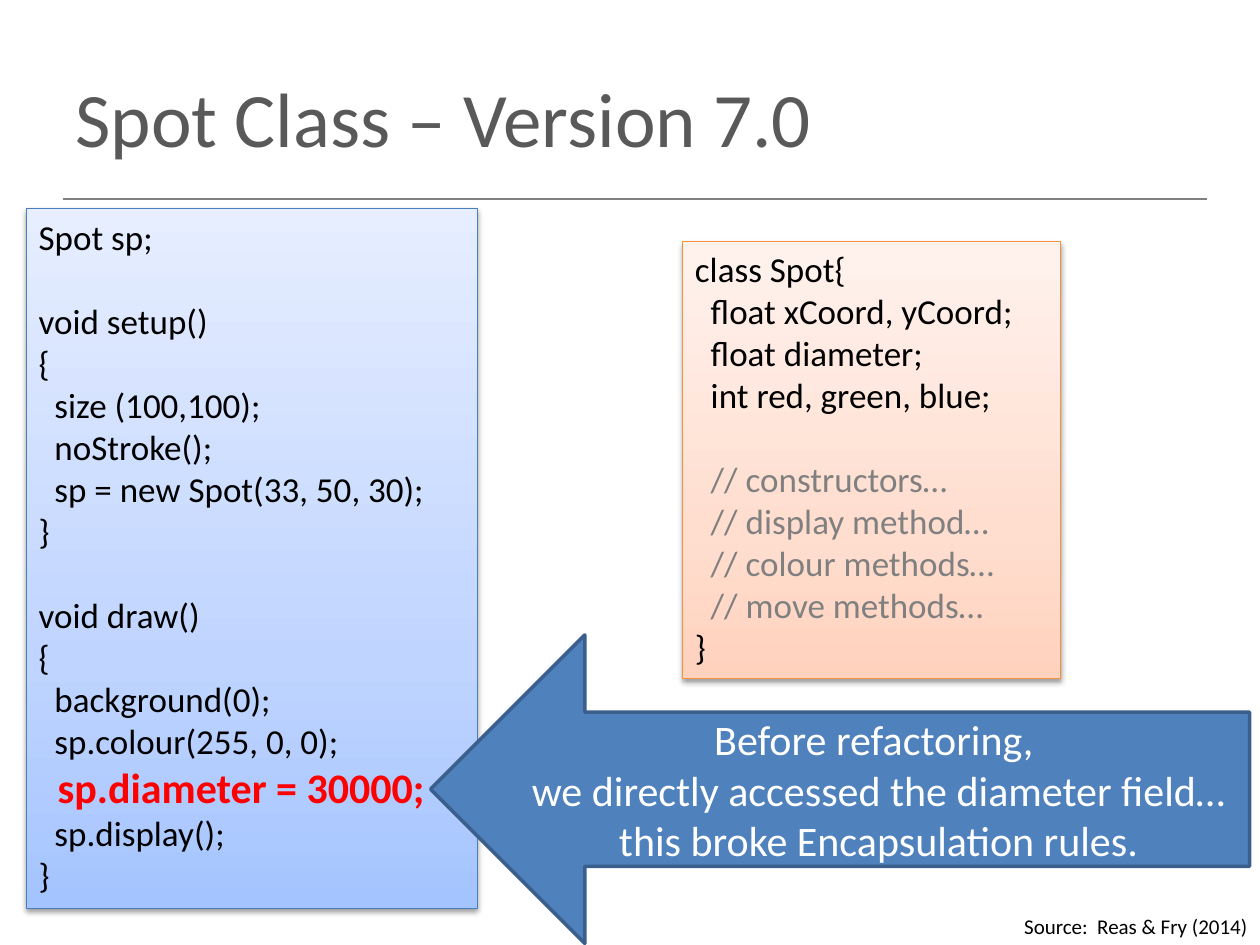
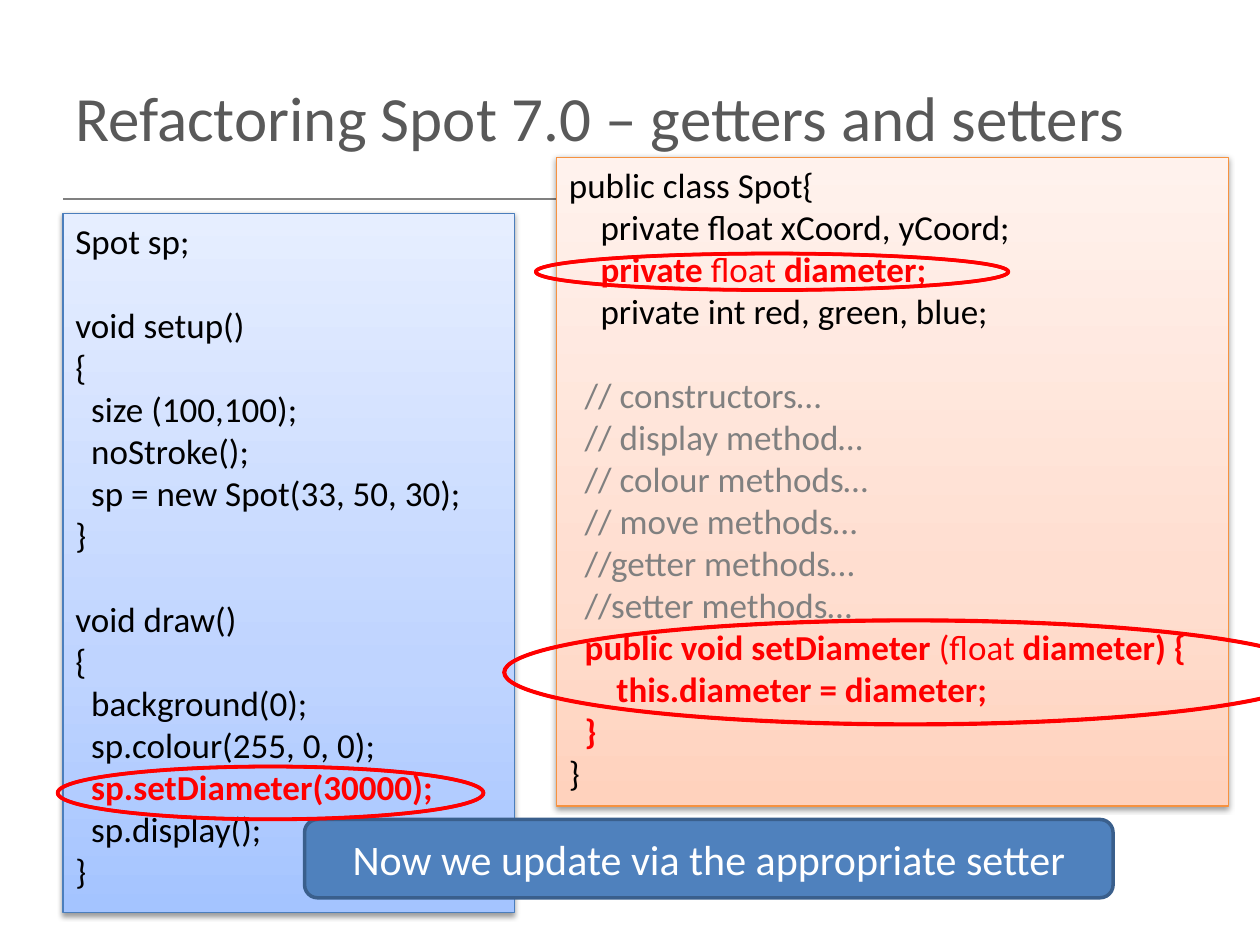
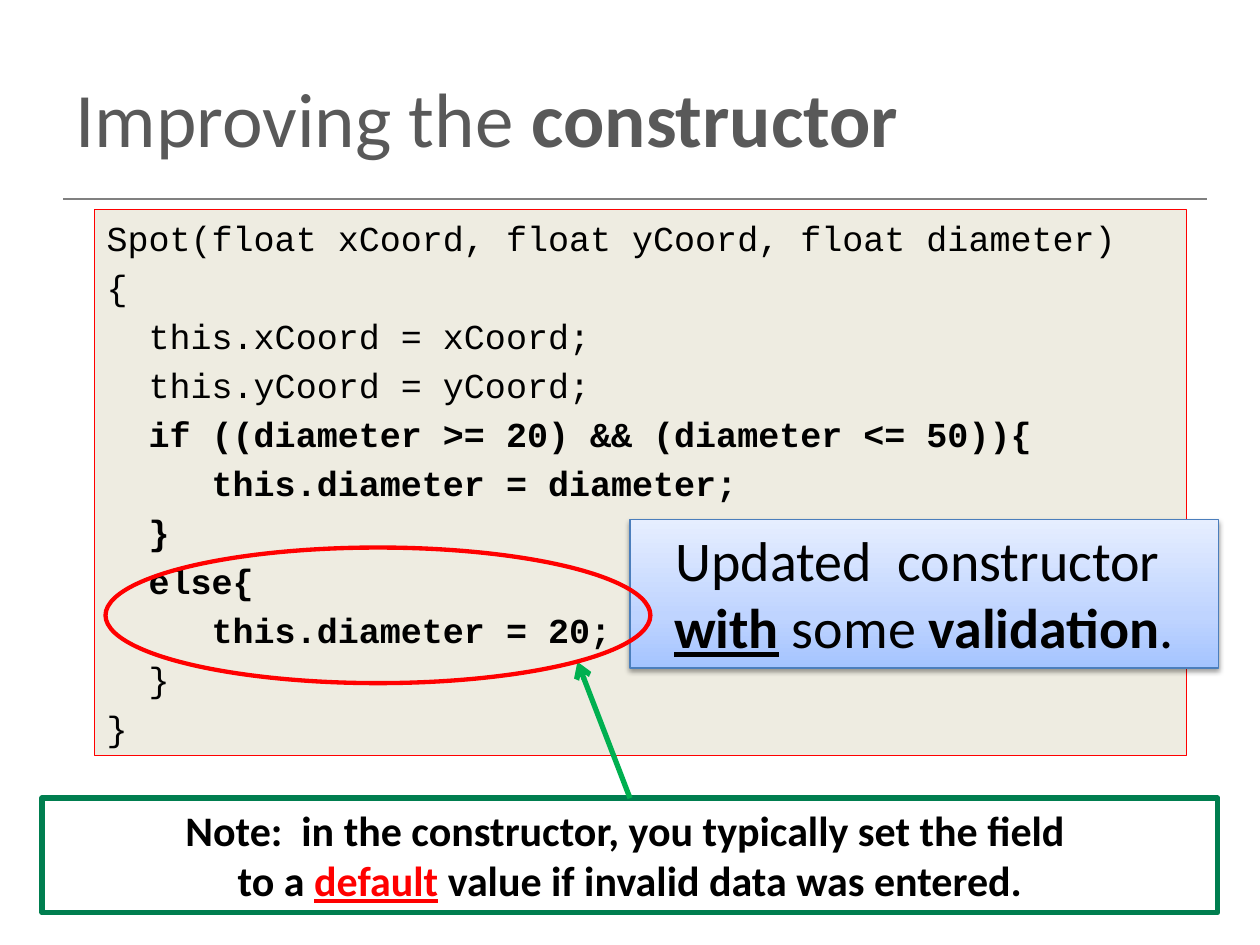
from lxml.etree import SubElement
from pptx import Presentation
from pptx.dml.color import RGBColor
from pptx.enum.shapes import MSO_CONNECTOR, MSO_SHAPE
from pptx.enum.text import MSO_ANCHOR, PP_ALIGN
from pptx.oxml.ns import qn
from pptx.util import Cm, Pt

COLOURS = {
    "title": "595959", "rule": "808080", "text": "000000", "white": "FFFFFF",
    "comment": "808080", "alert": "FF0000",
    "callout": "4F81BD", "callout_line": "3A5F8C",
    "sketch_line": "4B7EBC", "class_line": "F69240",
    "constructor": "EEECE1", "note_line": "007E4F", "arrow": "00B050",
}
GRADIENTS = {
    "sketch": ((0, "A4C4FF"), (35, "BFD4FF"), (100, "E6EEFF")),
    "class": ((0, "FFD2BD"), (35, "FFDED0"), (100, "FFF2ED")),
}
BOLD = {"bold": True}
ALERT = {"colour": "alert"}
BOLD_ALERT = {"colour": "alert", "bold": True}
COMMENT = {"colour": "comment"}
BLANK_LINE = Pt(24)

METHOD_COMMENTS = [
    [("  // " + topic + "…", COMMENT)]
    for topic in ("constructors", "display method", "colour methods", "move methods")
]


def rgb(name):
    return RGBColor.from_string(COLOURS[name])


def style_font(font, size=None, colour=None, bold=None, underline=None, name=None):
    if name:
        font.name = name
    if size:
        font.size = Pt(size)
    if colour:
        font.color.rgb = rgb(colour)
    if bold is not None:
        font.bold = bold
    if underline is not None:
        font.underline = underline


def add_runs(paragraph, parts):
    """Add (text, style) parts; a newline in a text is a line break."""
    for text, style in parts:
        for index, piece in enumerate(text.split("\n")):
            if index:
                paragraph.add_line_break()
            if piece:
                run = paragraph.add_run()
                run.text = piece
                style_font(run.font, **style)


def write(shape, lines, size, colour="text", name="Calibri", bold=False,
          align=PP_ALIGN.LEFT, anchor=MSO_ANCHOR.TOP, space_before=0):
    """Write one paragraph a line; an empty line becomes space before the next."""
    frame = shape.text_frame
    frame.word_wrap = True
    frame.vertical_anchor = anchor
    paragraph, gap = None, 0
    for line in lines:
        if not line:
            gap = BLANK_LINE
            continue
        if paragraph is None:
            paragraph = frame.paragraphs[0]
        else:
            paragraph = frame.add_paragraph()
            paragraph.space_before = Pt(space_before) + gap
        gap = 0
        paragraph.alignment = align
        parts = [(line, {})] if isinstance(line, str) else line
        if len(parts) == 1:
            text, style = parts[0]
            parts = [(text, {})]
        else:
            style = {}
        base = {"size": size, "colour": colour, "name": name, "bold": bold}
        style_font(paragraph.font, **{**base, **style})
        add_runs(paragraph, parts)


def add_text_box(slide, box, lines, size, **options):
    shape = slide.shapes.add_textbox(*map(Cm, box))
    write(shape, lines, size, **options)


def add_shape(slide, kind, box, line, width, fill=None):
    shape = slide.shapes.add_shape(kind, *map(Cm, box))
    shape.shadow.inherit = False
    if fill:
        shape.fill.solid()
        shape.fill.fore_color.rgb = rgb(fill)
    else:
        shape.fill.background()
    shape.line.color.rgb = rgb(line)
    shape.line.width = Pt(width)
    return shape


def add_colour(parent, value):
    return SubElement(parent, qn("a:srgbClr"), val=value)


def add_panel(slide, theme, box, lines, size=20, **options):
    """Add a shadowed box with a three-stop gradient, darkest at the bottom."""
    shape = add_shape(slide, MSO_SHAPE.RECTANGLE, box, theme + "_line", 0.75)
    shape.fill.gradient()
    shape.fill.gradient_angle = 90
    properties = shape.element.spPr
    stops = properties.find(qn("a:gradFill")).find(qn("a:gsLst"))
    for stop in list(stops):
        stops.remove(stop)
    for position, value in GRADIENTS[theme]:
        add_colour(SubElement(stops, qn("a:gs"), pos=str(position * 1000)), value)
    shadow = SubElement(properties.find(qn("a:effectLst")), qn("a:outerShdw"),
                        blurRad=str(Pt(3.1)), dist=str(Pt(1.6)), dir="5400000",
                        rotWithShape="0")
    SubElement(add_colour(shadow, COLOURS["text"]), qn("a:alpha"), val="38000")
    write(shape, lines, size, **options)


def add_callout(slide, kind, box, text):
    shape = add_shape(slide, kind, box, "callout_line", 2, "callout")
    write(shape, [text], 24, colour="white", align=PP_ALIGN.CENTER,
          anchor=MSO_ANCHOR.MIDDLE)


def add_ring(slide, box):
    ring = add_shape(slide, MSO_SHAPE.DONUT, box, "alert", 2, "alert")
    ring.adjustments[0] = 0.006


def add_line(slide, start, end, colour, width, arrow=False):
    connector = slide.shapes.add_connector(MSO_CONNECTOR.STRAIGHT, *map(Cm, start + end))
    connector.line.color.rgb = rgb(colour)
    connector.line.width = Pt(width)
    properties = connector.element.spPr
    if arrow:
        SubElement(properties.find(qn("a:ln")), qn("a:tailEnd"), type="arrow")
    SubElement(properties, qn("a:effectLst"))


def add_titled_slide(presentation, title, size=44):
    slide = presentation.slides.add_slide(presentation.slide_layouts[6])
    add_line(slide, (1.27, 4.02), (24.33, 4.02), "rule", 1)
    add_text_box(slide, (1.27, 0.76, 22.86, 3.18), [title], size,
                 colour="title", anchor=MSO_ANCHOR.MIDDLE)
    return slide


def add_sketch(slide, left, top, diameter_line):
    """Add the main program, which differs only in how it sets the diameter."""
    add_panel(slide, "sketch", (left, top, 9.1, 14.1), [
        "Spot sp;", "",
        "void setup()", "{", "  size (100,100);", "  noStroke();",
        "  sp = new Spot(33, 50, 30);", "}", "",
        "void draw()", "{", "  background(0);", "  sp.colour(255, 0, 0);",
        [diameter_line], "  sp.display();", "}",
    ])


def build_version_slide(presentation):
    slide = add_titled_slide(presentation, "Spot Class – Version 7.0")
    add_text_box(slide, (9.96, 18.29, 15.44, 0.76), ["Source:  Reas & Fry (2014)"],
                 12, align=PP_ALIGN.RIGHT)
    add_sketch(slide, 0.53, 4.21,
               ("  sp.diameter = 30000;", {**BOLD_ALERT, "size": 24}))
    add_panel(slide, "class", (13.76, 4.87, 7.62, 8.81), [
        "class Spot{", "  float xCoord, yCoord;", "  float diameter;",
        "  int red, green, blue;", "", *METHOD_COMMENTS, "}",
    ])
    add_callout(slide, MSO_SHAPE.LEFT_ARROW, (8.68, 12.8, 16.51, 6.22),
                "Before refactoring, \nwe directly accessed the diameter field… "
                "this broke Encapsulation rules.")


def build_refactoring_slide(presentation):
    slide = add_titled_slide(presentation, "Refactoring Spot 7.0 – getters and setters", 36)
    add_sketch(slide, 1.27, 4.3, ("  sp.setDiameter(30000);", BOLD_ALERT))
    add_panel(slide, "class", (11.22, 3.17, 13.55, 13.08), [
        "public class Spot{", "    private float xCoord, yCoord;",
        [("    private ", BOLD_ALERT), ("float", ALERT), (" diameter;", BOLD_ALERT)],
        "    private int red, green, blue;", "",
        *METHOD_COMMENTS,
        [("  //getter methods…", COMMENT)], [("  //setter methods…", COMMENT)],
        [("  public void setDiameter", BOLD_ALERT), (" (float", ALERT),
         (" diameter) {", BOLD_ALERT)],
        [("      this.diameter = diameter;", BOLD_ALERT)],
        [("  }", BOLD_ALERT)], "}",
    ])
    add_callout(slide, MSO_SHAPE.ROUNDED_RECTANGLE, (6.14, 16.52, 16.3, 1.58),
                "Now we update via the appropriate setter")
    for box in ((1.16, 15.45, 8.59, 1.07), (10.16, 12.5, 16.38, 2.11),
                (10.8, 5.11, 9.53, 0.74)):
        add_ring(slide, box)


def build_constructor_slide(presentation):
    slide = add_titled_slide(presentation, [("Improving the ", {}), ("constructor", BOLD)])
    code = add_shape(slide, MSO_SHAPE.RECTANGLE, (1.9, 4.23, 22.02, 11),
                     "alert", 0.75, "constructor")
    validation = ["  if ((diameter >= 20) && (diameter <= 50)){",
                  "     this.diameter = diameter;", "  }", "  else{",
                  "     this.diameter = 20;"]
    write(code, [
        "Spot(float xCoord, float yCoord, float diameter)", "{",
        "  this.xCoord = xCoord;", "  this.yCoord = yCoord;",
        *[[(line, BOLD)] for line in validation], "  }", "}",
    ], 20, name="Courier New", space_before=4)

    note = add_shape(slide, MSO_SHAPE.RECTANGLE, (0.85, 16.09, 23.7, 2.31), "note_line", 3)
    write(note, [[
        ("Note:  in the constructor, you typically set the field \nto a ", {}),
        ("default", {"colour": "alert", "underline": True}),
        (" value if invalid data was entered.", {}),
    ]], 24, bold=True, align=PP_ALIGN.CENTER)
    add_line(slide, (12.7, 16.09), (11.64, 13.34), "arrow", 3, arrow=True)
    add_panel(slide, "sketch", (12.7, 10.47, 11.86, 3), [[
        ("Updated  constructor \n", {}), ("with", {"bold": True, "underline": True}),
        (" some ", {}), ("validation", BOLD), (".", {}),
    ]], size=32, align=PP_ALIGN.CENTER)
    add_ring(slide, (2.12, 11.03, 11, 2.75))


def main():
    presentation = Presentation()
    presentation.slide_width = Cm(25.4)
    presentation.slide_height = Cm(19.05)
    build_version_slide(presentation)
    build_refactoring_slide(presentation)
    build_constructor_slide(presentation)
    presentation.save("out.pptx")


if __name__ == "__main__":
    main()
